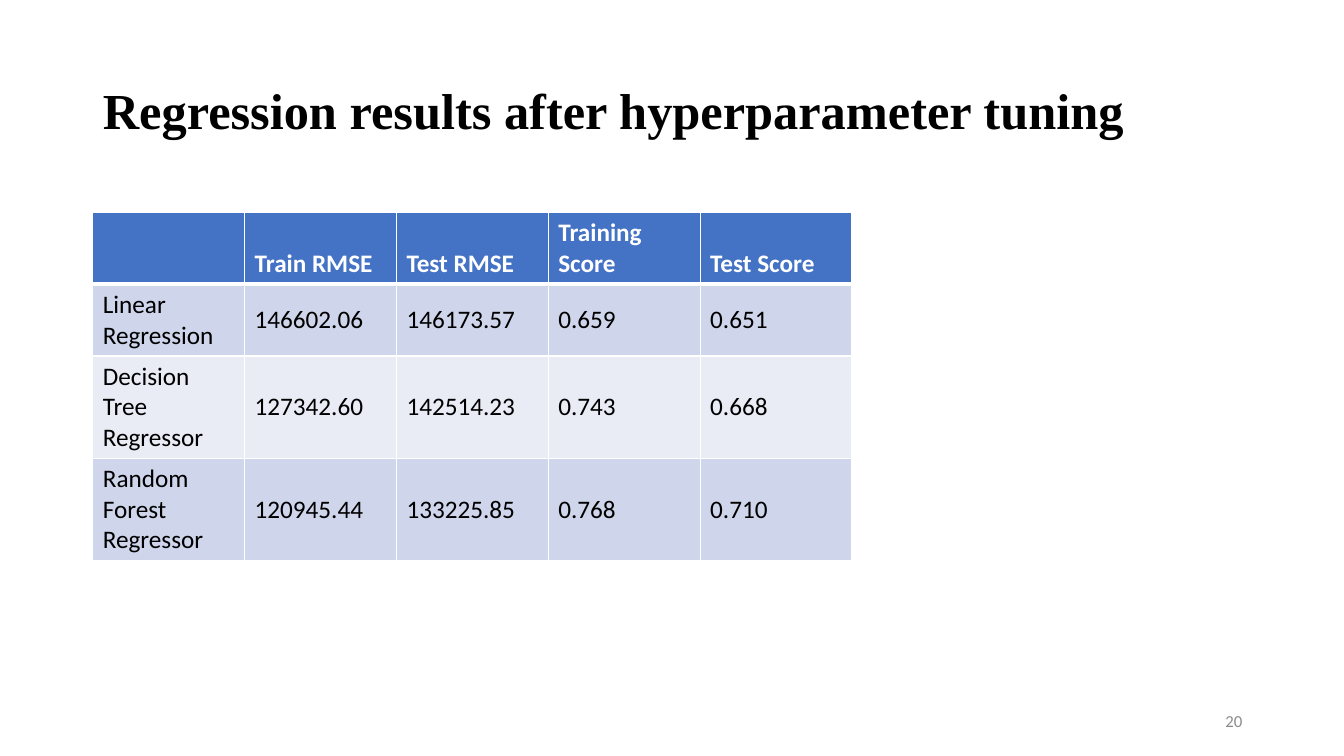
from lxml import etree
from pptx import Presentation
from pptx.dml.color import RGBColor
from pptx.enum.text import MSO_ANCHOR, MSO_AUTO_SIZE, PP_ALIGN
from pptx.oxml.ns import qn
from pptx.util import Inches, Pt

LEFT, RIGHT = PP_ALIGN.LEFT, PP_ALIGN.RIGHT
MIDDLE, BOTTOM = MSO_ANCHOR.MIDDLE, MSO_ANCHOR.BOTTOM
NO_FIT = MSO_AUTO_SIZE.NONE
HEADER, BANDS = "4472C4", ("CFD5EA", "E9EBF5")
WHITE, BLACK, GRAY = "FFFFFF", "000000", "8C8C8C"


def write(frame, text, size, color, bold=False, font="Calibri", align=LEFT):
    para = frame.paragraphs[0]
    para.alignment = align
    run = para.add_run()
    run.text = text
    run.font.name = font
    run.font.size = Pt(size)
    run.font.bold = bold
    run.font.color.rgb = RGBColor.from_string(color)
    return para


def border(cell, side, width):
    """Add a white edge; call before the fill, which must follow it."""
    line = etree.SubElement(cell._tc.get_or_add_tcPr(), qn(f"a:ln{side}"), w=str(Pt(width)))
    fill = etree.SubElement(line, qn("a:solidFill"))
    etree.SubElement(fill, qn("a:srgbClr"), val=WHITE)


deck = Presentation()
deck.slide_width, deck.slide_height = Inches(13.33), Inches(7.5)
slide = deck.slides.add_slide(deck.slide_layouts[5])

title = slide.shapes.title
title.left, title.top = Inches(0.92), Inches(0.4)
title.width, title.height = Inches(11.5), Inches(1.45)
frame = title.text_frame
frame.auto_size = NO_FIT
frame.vertical_anchor = MIDDLE
para = write(frame, "Regression results after hyperparameter tuning", 36, BLACK, True, "Times New Roman")
para.line_spacing = 0.9

# Scores by model
rows = [
    ("", "Train RMSE", "Test RMSE", "Training Score", "Test Score"),
    ("Linear Regression", "146602.06", "146173.57", "0.659", "0.651"),
    ("Decision Tree Regressor", "127342.60", "142514.23", "0.743", "0.668"),
    ("Random Forest Regressor", "120945.44", "133225.85", "0.768", "0.710"),
]
heights = (0.7, 0.7, 1.01, 1.01)
table = slide.shapes.add_table(
    len(rows), len(rows[0]), Inches(0.92), Inches(2.11), Inches(7.53), Inches(sum(heights))
).table

for r, row in enumerate(rows):
    table.rows[r].height = Inches(heights[r])
    head = r == 0
    edges = {"L": 1, "R": 1, "T": 3 if r == 1 else 1, "B": 3 if head else 1}
    for c, text in enumerate(row):
        cell = table.cell(r, c)
        for side, width in edges.items():
            border(cell, side, width)
        cell.fill.solid()
        cell.fill.fore_color.rgb = RGBColor.from_string(HEADER if head else BANDS[(r - 1) % 2])
        cell.vertical_anchor = BOTTOM if head else MIDDLE
        if text:
            write(cell.text_frame, text, 18, WHITE if head else BLACK, head)

number = slide.shapes.add_textbox(Inches(9.42), Inches(6.95), Inches(3), Inches(0.4))
number.text_frame.word_wrap = True
number.text_frame.vertical_anchor = MIDDLE
write(number.text_frame, "20", 12, GRAY, align=RIGHT)

deck.save("out.pptx")
